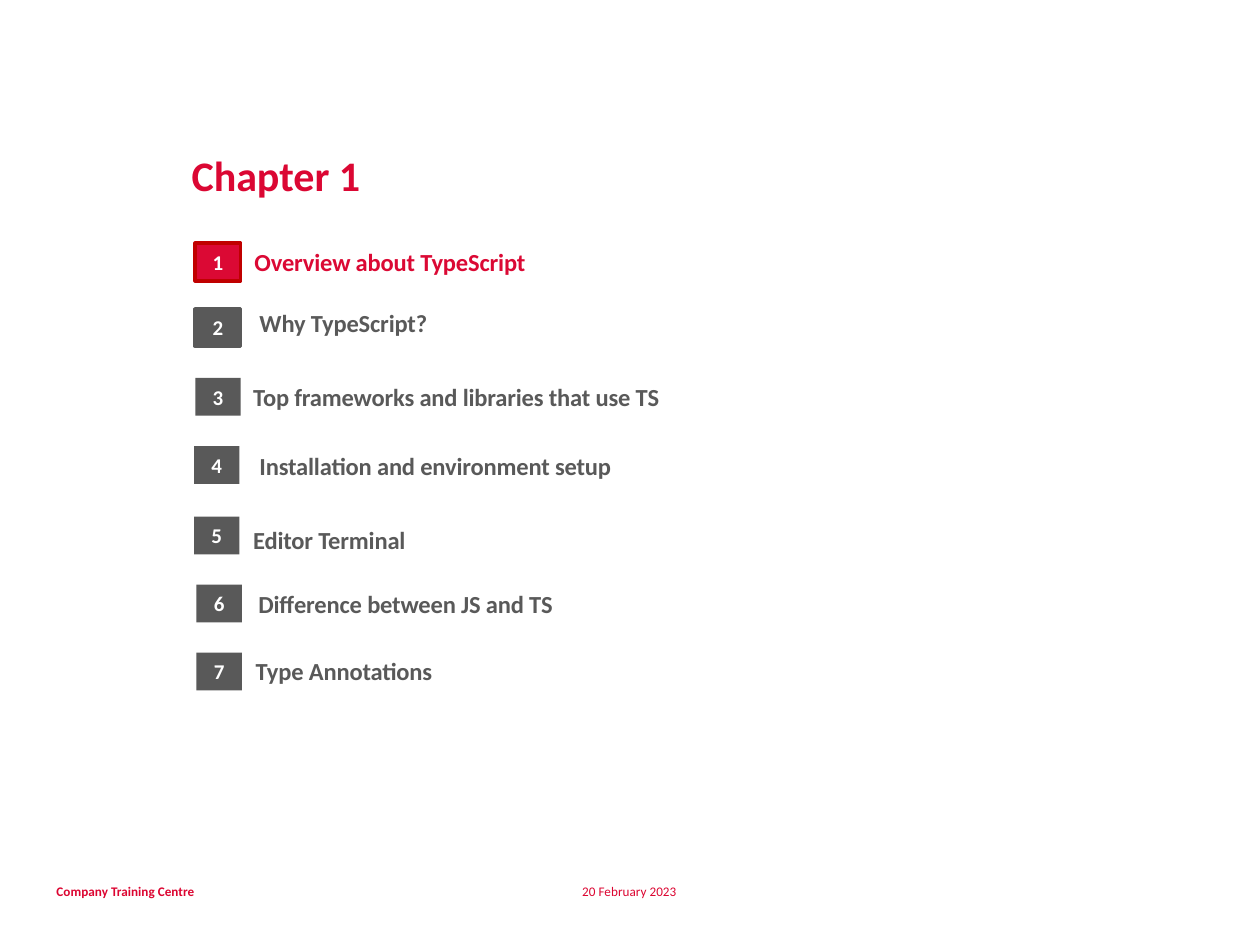
from pptx import Presentation
from pptx.dml.color import RGBColor
from pptx.enum.shapes import MSO_SHAPE
from pptx.enum.text import MSO_ANCHOR, MSO_AUTO_SIZE, PP_ALIGN
from pptx.util import Inches, Pt

RECTANGLE = MSO_SHAPE.RECTANGLE
TOP, MIDDLE = MSO_ANCHOR.TOP, MSO_ANCHOR.MIDDLE
LEFT, CENTER = PP_ALIGN.LEFT, PP_ALIGN.CENTER
NO_AUTOFIT = MSO_AUTO_SIZE.NONE

COLORS = {
    "title": "DB0733",
    "active": "DB0934",
    "active_line": "C00000",
    "grey": "595959",
    "footer": "DC0531",
    "white": "FFFFFF",
}


def color(name):
    return RGBColor.from_string(COLORS[name])


def write(shape, text, size, color_name, bold=True, align=LEFT, anchor=MIDDLE):
    """Put one formatted paragraph in the shape and return it."""
    frame = shape.text_frame
    frame.word_wrap = True
    frame.auto_size = NO_AUTOFIT
    frame.vertical_anchor = anchor
    paragraph = frame.paragraphs[0]
    paragraph.alignment = align
    run = paragraph.add_run()
    run.text = text
    font_format = {"name": "Calibri", "size": Pt(size), "bold": bold}
    for attribute, value in font_format.items():
        setattr(run.font, attribute, value)
    run.font.color.rgb = color(color_name)
    return paragraph


presentation = Presentation()
presentation.slide_width = Inches(10)
presentation.slide_height = Inches(7.5)
slide = presentation.slides.add_slide(presentation.slide_layouts[5])

# Title
title = slide.shapes.title
title.left, title.top = Inches(1.42), Inches(1.14)
title.width, title.height = Inches(2.65), Inches(0.5)
write(title, "Chapter 1", 24, "title", anchor=TOP)

# Agenda: topic, number box left and top, topic left and top, topic width and height
WIDE, COMPACT = (7.26, 0.29), (5, 0.34)
topics = [
    ("Overview about TypeScript", 1.55, 1.93, 1.91, 1.93, WIDE),
    ("Why TypeScript?", 1.55, 2.45, 1.95, 2.39, COMPACT),
    ("Top frameworks and libraries that use TS", 1.55, 3, 1.9, 3, WIDE),
    ("Installation and environment setup", 1.54, 3.54, 1.95, 3.55, WIDE),
    ("Editor Terminal", 1.54, 4.1, 1.9, 4.14, WIDE),
    ("Difference between JS and TS", 1.56, 4.64, 1.94, 4.62, COMPACT),
    ("Type Annotations", 1.56, 5.18, 1.92, 5.15, COMPACT),
]
outlines = {1: "active_line", 2: "grey"}

for number, (topic, box_left, box_top, left, top, size) in enumerate(topics, start=1):
    main_color = "active" if number == 1 else "grey"

    number_box = slide.shapes.add_shape(
        RECTANGLE, Inches(box_left), Inches(box_top), Inches(0.36), Inches(0.3))
    number_box.shadow.inherit = False
    number_box.fill.solid()
    number_box.fill.fore_color.rgb = color(main_color)
    if number in outlines:
        number_box.line.color.rgb = color(outlines[number])
        number_box.line.width = Pt(2)
    else:
        number_box.line.fill.background()
    write(number_box, str(number), 12, "white", align=CENTER)

    topic_box = slide.shapes.add_textbox(
        Inches(left), Inches(top), *(Inches(length) for length in size))
    topic_box.text_frame.margin_left = Inches(0.11)
    paragraph = write(topic_box, topic, 14, main_color)
    paragraph.runs[0].font._element.set("spc", "-10")

# Footer
footers = [
    ("Company Training Centre", 0.35, 2.66, True, LEFT),
    ("20 February 2023", 4.33, 1.33, False, CENTER),
]
for text, left, width, bold, align in footers:
    footer = slide.shapes.add_textbox(
        Inches(left), Inches(6.96), Inches(width), Inches(0.23))
    write(footer, text, 7.5, "footer", bold, align, TOP)

presentation.save("out.pptx")
